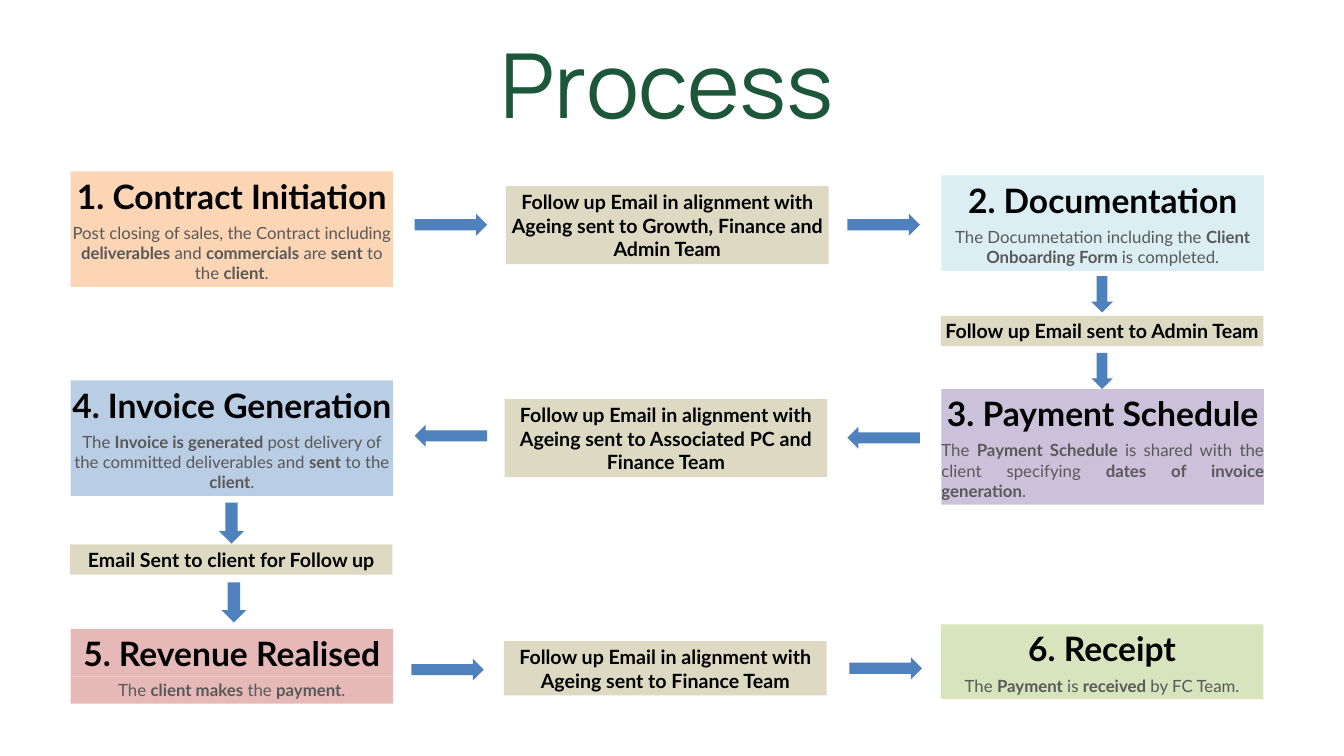
from dataclasses import dataclass

from pptx import Presentation
from pptx.dml.color import RGBColor
from pptx.enum.shapes import MSO_SHAPE
from pptx.enum.text import MSO_ANCHOR, MSO_AUTO_SIZE, PP_ALIGN
from pptx.shapes.autoshape import Shape
from pptx.shapes.shapetree import GroupShapes, SlideShapes
from pptx.util import Emu, Pt

RECT, ARROW = MSO_SHAPE.RECTANGLE, MSO_SHAPE.RIGHT_ARROW
TOP, BOTTOM = MSO_ANCHOR.TOP, MSO_ANCHOR.BOTTOM
CENTER, JUSTIFY = PP_ALIGN.CENTER, PP_ALIGN.JUSTIFY
GROW = MSO_AUTO_SIZE.SHAPE_TO_FIT_TEXT

SCALE = 9144  # EMU per px, 100 px to the inch
WIDE, HEAD = 480, 71  # box width, heading height
BLACK, GREY, SAND, BLUE, GREEN = "000000", "595959", "DDD9C3", "4F81BD", "1C5739"


@dataclass
class Step:
    x: int
    y: int
    tall: int  # height of the body
    fill: str
    head: str
    body: str  # bold parts stand between asterisks
    align: PP_ALIGN = CENTER


@dataclass
class Note:
    x: int
    y: int
    tall: int
    text: str


@dataclass
class Arrow:
    x: int
    y: int
    wide: int = 108
    tall: int = 33
    turn: int = 0


STEPS = [
    Step(1401, 261, 71, "DBEEF4", "2. Documentation",
         "The Documnetation including the *Client Onboarding Form *is completed."),
    Step(105, 255, 101, "FCD5B5", "1. Contract Initiation",
         "Post closing of sales, the Contract including *deliverables* and "
         "*commercials* are *sent* to the *client*."),
    Step(105, 566, 101, "B9CDE5", "4. Invoice Generation",
         "The *Invoice is generated *post delivery of the committed deliverables "
         "and *sent* to the *client*."),
    Step(1400, 929, 40, "D7E4BD", "6. Receipt",
         "The *Payment* is *received* by FC Team."),
    Step(105, 936, 40, "E6B9B8", "5. Revenue Realised",
         "The *client makes* the *payment*."),
    Step(1401, 579, 101, "CCC1DA", "3. Payment Schedule",
         "The *Payment Schedule *is shared with the client specifying "
         "*dates of invoice generation*.", JUSTIFY),
]

MAIL = "Follow up Email in alignment with Ageing sent to "
NOTES = [
    Note(753, 277, 116, MAIL + "Growth, Finance and Admin Team"),
    Note(1400, 470, 45, "Follow up Email sent to Admin Team"),
    Note(104, 810, 45, "Email Sent to client for Follow up"),
    Note(750, 954, 81, MAIL + "Finance Team"),
    Note(751, 594, 116, MAIL + "Associated PC and Finance Team"),
]

ARROWS = [
    Arrow(617, 318),
    Arrow(1261, 318),
    Arrow(1613, 422, 54, 32, 90),
    Arrow(1613, 536, 54, 32, 90),
    Arrow(1261, 635, turn=180),
    Arrow(617, 632, turn=180),
    Arrow(314, 760, 61, 37, 90),
    Arrow(318, 878, 60, 37, 90),
    Arrow(612, 980),
    Arrow(1264, 978),
]


def px(num: int) -> Emu:
    return Emu(num * SCALE)


def color(code: str) -> RGBColor:
    return RGBColor.from_string(code)


def add_shape(shapes: SlideShapes | GroupShapes, kind: MSO_SHAPE, x: int, y: int,
              wide: int, tall: int, fill: str) -> Shape:
    shape = shapes.add_shape(kind, px(x), px(y), px(wide), px(tall))
    shape.shadow.inherit = False
    shape.fill.solid()
    shape.fill.fore_color.rgb = color(fill)
    shape.line.fill.background()
    return shape


def add_box(shapes: SlideShapes | GroupShapes, x: int, y: int, tall: int, fill: str,
            text: str, size: int, ink: str, anchor: MSO_ANCHOR = BOTTOM,
            align: PP_ALIGN = CENTER) -> None:
    frame = add_shape(shapes, RECT, x, y, WIDE, tall, fill).text_frame
    frame.margin_left = frame.margin_right = 0
    frame.margin_top = frame.margin_bottom = px(5)
    frame.word_wrap = True
    frame.auto_size = GROW
    frame.vertical_anchor = anchor
    para = frame.paragraphs[0]
    para.alignment = align
    for i, part in enumerate(text.split("*")):
        run = para.add_run()
        run.text = part
        run.font.name = "Lato"
        run.font.size = Pt(size)
        run.font.bold = i % 2 == 1
        run.font.color.rgb = color(ink)


def add_step(shapes: SlideShapes, step: Step) -> None:
    group = shapes.add_group_shape().shapes
    add_box(group, step.x, step.y, HEAD, step.fill, f"*{step.head}*", 36, BLACK)
    add_box(group, step.x, step.y + HEAD, step.tall, step.fill, step.body, 18, GREY,
            TOP, step.align)


def add_note(shapes: SlideShapes, note: Note) -> None:
    add_box(shapes, note.x, note.y, note.tall, SAND, f"*{note.text}*", 21, BLACK)


def add_arrow(shapes: SlideShapes, arrow: Arrow) -> None:
    shape = add_shape(shapes, ARROW, arrow.x, arrow.y, arrow.wide, arrow.tall, BLUE)
    shape.rotation = arrow.turn


def add_title(shapes: SlideShapes, text: str) -> None:
    frame = shapes.add_textbox(px(735), px(34), px(542), px(172)).text_frame
    frame.word_wrap = True
    frame.auto_size = GROW
    frame.text = text
    para = frame.paragraphs[0]
    para.line_spacing = Pt(118.1)
    font = para.runs[0].font
    font.name = "Manrope"
    font.size = Pt(96)
    font.color.rgb = color(GREEN)


def main() -> None:
    deck = Presentation()
    deck.slide_width, deck.slide_height = px(2000), px(1125)
    shapes = deck.slides.add_slide(deck.slide_layouts[6]).shapes

    # Numbered steps
    for step in STEPS:
        add_step(shapes, step)
    # Follow-up mails between the steps
    for note in NOTES:
        add_note(shapes, note)
    # Flow arrows
    for arrow in ARROWS:
        add_arrow(shapes, arrow)
    add_title(shapes, "Process")

    deck.save("out.pptx")


if __name__ == "__main__":
    main()
